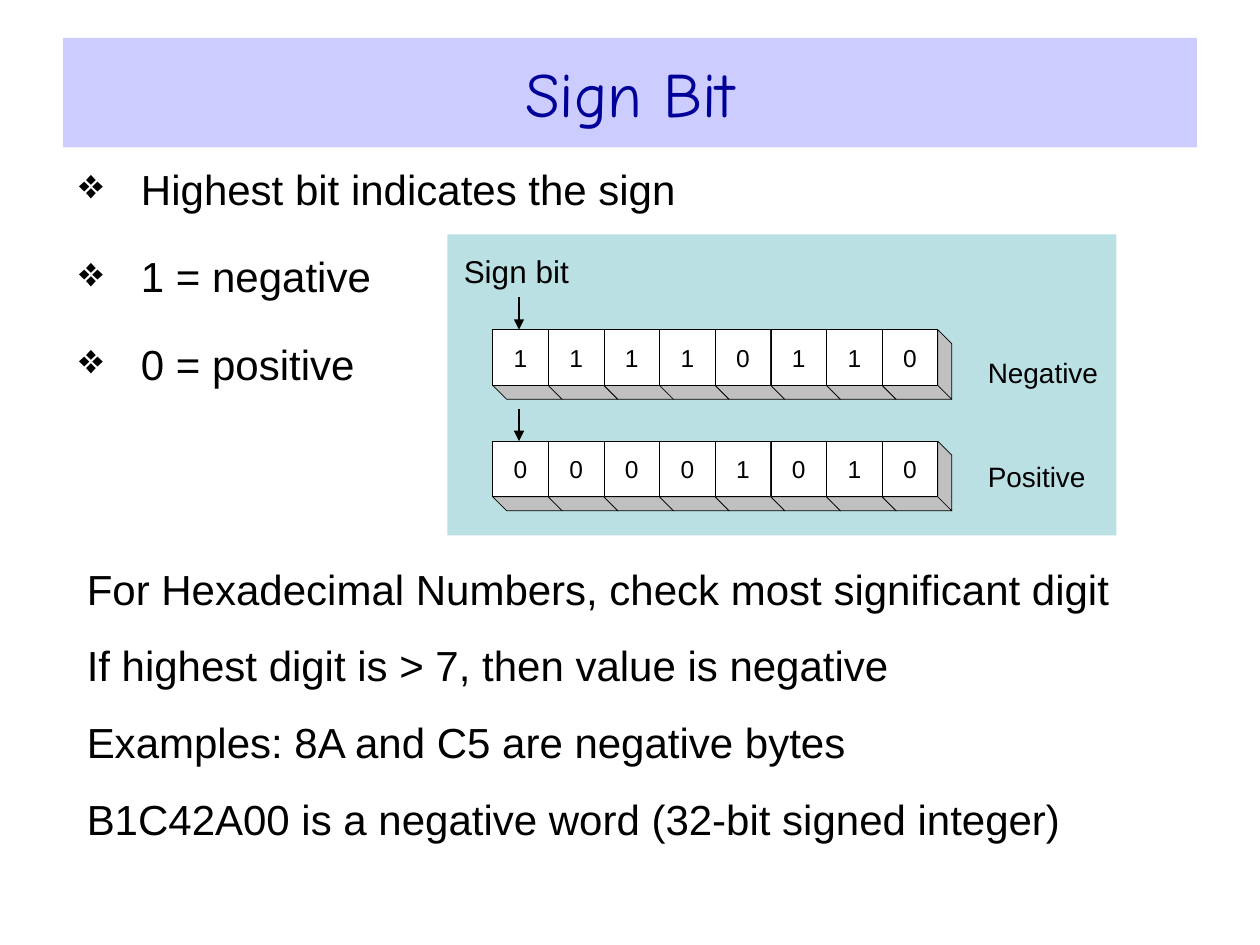
"""Build the Sign Bit slide."""
from dataclasses import dataclass

from lxml.etree import SubElement
from pptx import Presentation
from pptx.dml.color import RGBColor as Color
from pptx.enum.shapes import MSO_CONNECTOR as Connector, MSO_SHAPE as Preset
from pptx.enum.text import MSO_ANCHOR as Anchor, MSO_AUTO_SIZE as AutoSize, PP_ALIGN as Align
from pptx.oxml.ns import qn
from pptx.util import Pt


@dataclass(frozen=True)
class Theme:
    """Colours, fonts and type sizes of the deck."""
    black: str = "000000"
    white: str = "FFFFFF"
    shade: str = "C0C0C0"
    panel: str = "BBE0E3"
    banner: str = "CCCCFF"
    heading: str = "000099"
    body_font: str = "Arial"
    title_font: str = "Comic Neue"
    title_size: int = 36
    body_size: int = 24
    caption_size: int = 18
    label_size: int = 16
    bit_size: int = 14
    edge: float = 0.37
    arrow: float = 0.75


def write_text(frame, text, *, size, font, color, align=Align.LEFT, anchor=Anchor.TOP,
               wrap=True, insets=(7.2, 3.6), before=0, bullet=None, indent=35.3):
    """Fill a text frame with one paragraph per line of text."""
    frame.word_wrap = wrap
    frame.auto_size = AutoSize.NONE
    frame.vertical_anchor = anchor
    frame.margin_left = frame.margin_right = Pt(insets[0])
    frame.margin_top = frame.margin_bottom = Pt(insets[1])
    for index, line in enumerate(text.split("\n")):
        para = frame.add_paragraph() if index else frame.paragraphs[0]
        para.alignment = align
        para.space_before = Pt(before)
        span = para.add_run()
        span.text = line
        span.font.size = Pt(size)
        span.font.name = font
        span.font.color.rgb = Color.from_string(color)
        if bullet:
            props = para._p.get_or_add_pPr()
            props.set("marL", str(Pt(indent)))
            props.set("indent", str(-Pt(indent)))
            SubElement(props, qn("a:buChar")).set("char", bullet)


class Painter:
    """Draws styled elements on the current page."""

    def __init__(self, page, theme):
        """Keep the page and the theme."""
        self.page = page
        self.shapes = page.shapes
        self.theme = theme

    def finish(self, shape, fill, edged):
        """Set the fill and outline of a shape."""
        shape.shadow.inherit = False
        shape.fill.solid()
        shape.fill.fore_color.rgb = Color.from_string(fill)
        if edged:
            shape.line.color.rgb = Color.from_string(self.theme.black)
            shape.line.width = Pt(self.theme.edge)
        else:
            shape.line.fill.background()

    def title(self, text, left, top, width, height):
        """Place the title on its banner."""
        box = self.shapes.title
        box.left, box.top, box.width, box.height = map(Pt, (left, top, width, height))
        box.fill.solid()
        box.fill.fore_color.rgb = Color.from_string(self.theme.banner)
        write_text(box.text_frame, text, size=self.theme.title_size,
                   font=self.theme.title_font, color=self.theme.heading,
                   align=Align.CENTER, anchor=Anchor.MIDDLE)

    def text(self, text, left, top, width, height, size, **style):
        """Add a text box."""
        box = self.shapes.add_textbox(*map(Pt, (left, top, width, height)))
        write_text(box.text_frame, text, size=size, font=self.theme.body_font,
                   color=self.theme.black, **style)

    def rectangle(self, left, top, width, height, fill, edged=False):
        """Add a rectangle and return it."""
        box = self.shapes.add_shape(Preset.RECTANGLE, *map(Pt, (left, top, width, height)))
        self.finish(box, fill, edged)
        return box

    def facet(self, *corners):
        """Add a shaded polygon."""
        first, *rest = [(Pt(x), Pt(y)) for x, y in corners]
        builder = self.shapes.build_freeform(*first, scale=1.0)
        builder.add_line_segments(rest, close=True)
        self.finish(builder.convert_to_shape(), self.theme.shade, True)

    def bit(self, digit, left, top, side, depth):
        """Add one raised cell holding a binary digit."""
        right, bottom = left + side, top + side
        self.facet((right, bottom), (left, bottom),
                   (left + depth, bottom + depth), (right + depth, bottom + depth))
        self.facet((right + depth, bottom + depth), (right, bottom),
                   (right, top), (right + depth, top + depth))
        cell = self.rectangle(left, top, side, side, self.theme.white, edged=True)
        write_text(cell.text_frame, digit, size=self.theme.bit_size,
                   font=self.theme.body_font, color=self.theme.black,
                   align=Align.CENTER, anchor=Anchor.MIDDLE, wrap=False, insets=(0, 0))

    def arrow(self, x, top, bottom):
        """Add an arrow pointing down."""
        line = self.shapes.add_connector(Connector.STRAIGHT, *map(Pt, (x, top, x, bottom)))
        line.line.color.rgb = Color.from_string(self.theme.black)
        line.line.width = Pt(self.theme.arrow)
        SubElement(line.line._get_or_add_ln(), qn("a:tailEnd")).set("type", "triangle")
        SubElement(line._element.spPr, qn("a:effectLst"))


def main():
    """Build and save the deck."""
    theme = Theme()
    deck = Presentation()
    deck.slide_width, deck.slide_height = Pt(720), Pt(540)
    painter = Painter(deck.slides.add_slide(deck.slide_layouts[5]), theme)

    painter.title("Sign Bit", 36, 21.6, 648, 62.6)
    painter.text("Highest bit indicates the sign\n1 = negative\n0 = positive",
                 38.2, 90, 640, 193.7, theme.body_size, before=21, bullet="❖")
    painter.text("For Hexadecimal Numbers, check most significant digit\n"
                 "If highest digit is > 7, then value is negative\n"
                 "Examples: 8A and C5 are negative bytes\n"
                 "B1C42A00 is a negative word (32-bit signed integer)",
                 42.5, 311, 635, 182.2, theme.body_size, before=15, insets=(7.2, 10.8))

    painter.rectangle(255.6, 133.9, 382.4, 172.1, theme.panel)
    painter.text("Sign bit", 265, 144, 68.4, 21.6, theme.caption_size, insets=(0, 0))
    left, side, depth = 281.5, 31.8, 8
    rows = (("11110110", 188.4, "Negative", 203), ("00001010", 252.1, "Positive", 262.8))
    for digits, top, label, label_top in rows:
        for column, digit in enumerate(digits):
            painter.bit(digit, left + column * side, top, side, depth)
        painter.arrow(296.6, top - 18.5, top)
        painter.text(label, 564.5, label_top, 64, 19.4, theme.label_size,
                     wrap=False, insets=(0, 0))
    deck.save("out.pptx")


if __name__ == "__main__":
    main()
